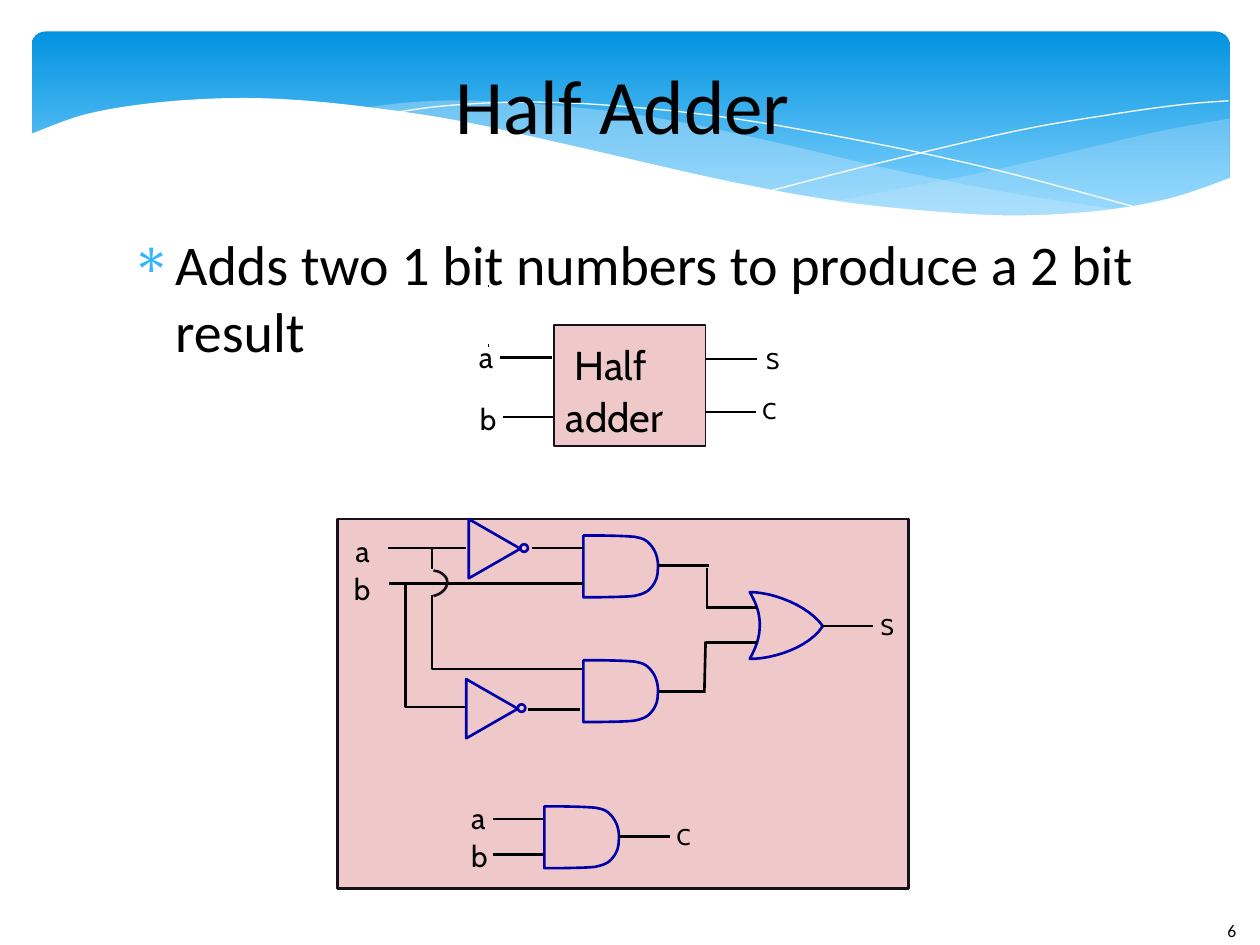
from dataclasses import dataclass

from lxml import etree
from pptx import Presentation
from pptx import util as u
from pptx.dml.color import RGBColor
from pptx.enum import shapes, text
from pptx.oxml.ns import qn


@dataclass(frozen=True)
class Theme:
    black: str = "000000"
    white: str = "FFFFFF"
    sky_top: str = "0293E0"
    sky_bottom: str = "83D3FE"
    wave: str = "C6E7FC"
    bullet: str = "31B6FD"
    panel: str = "EFC9C9"
    outline: str = "15111D"
    gate: str = "0000A9"
    body_font: str = "Calibri"
    label_font: str = "Cabin"
    title_size: float = 44
    body_size: float = 32
    block_size: float = 23
    input_size: float = 17
    output_size: float = 13
    number_size: float = 10
    stroke: float = 1.5


def bezier(start, *curves, steps=12):
    """Points along joined cubic curves, each given as three points."""
    points = [start]
    for c1, c2, end in curves:
        p0 = points[-1]
        for t in (i / steps for i in range(1, steps + 1)):
            s = 1 - t
            points.append(tuple(s**3 * a + 3 * s * s * t * b + 3 * s * t * t * c + t**3 * d
                                for a, b, c, d in zip(p0, c1, c2, end)))
    return points


def smooth(*knots):
    """Points along a smooth curve through all the knots."""
    padded = [knots[0], *knots, knots[-1]]
    curves = []
    for before, a, b, after in zip(padded, padded[1:], padded[2:], padded[3:]):
        c1 = tuple(p + (q - o) / 6 for o, p, q in zip(before, a, b))
        c2 = tuple(q - (r - p) / 6 for p, q, r in zip(a, b, after))
        curves.append((c1, c2, b))
    return bezier(knots[0], *curves, steps=6)


class Painter:
    def __init__(self, page, theme):
        self.page, self.theme = page, theme

    def paint(self, shape, fill=None, line=None, width=None, alpha=None):
        shape.shadow.inherit = False
        if fill:
            shape.fill.solid()
            shape.fill.fore_color.rgb = RGBColor.from_string(fill)
            if alpha:
                color = shape._element.spPr.find(".//" + qn("a:srgbClr"))
                etree.SubElement(color, qn("a:alpha"), val=str(alpha * 1000))
        else:
            shape.fill.background()
        if line:
            shape.line.color.rgb = RGBColor.from_string(line)
            shape.line.width = u.Pt(self.theme.stroke if width is None else width)
        else:
            shape.line.fill.background()
        return shape

    def preset(self, kind, x, y, w, h, **style):
        shape = self.page.shapes.add_shape(kind, *map(u.Inches, (x, y, w, h)))
        return self.paint(shape, **style)

    def outline(self, points, closed=True, **style):
        first, *rest = [tuple(map(u.Inches, point)) for point in points]
        builder = self.page.shapes.build_freeform(*first, scale=1.0)
        builder.add_line_segments(rest, close=closed)
        return self.paint(builder.convert_to_shape(), **style)

    def wire(self, x1, y1, x2, y2, width=None):
        line = self.page.shapes.add_connector(
            shapes.MSO_CONNECTOR.STRAIGHT, *map(u.Inches, (x1, y1, x2, y2)))
        line.line.color.rgb = RGBColor.from_string(self.theme.black)
        line.line.width = u.Pt(width or self.theme.stroke)
        etree.SubElement(line._element.spPr, qn("a:effectLst"))

    def words(self, content, x, y, w, h, size, font, wrap=True):
        box = self.page.shapes.add_textbox(*map(u.Inches, (x, y, w, h)))
        frame = box.text_frame
        frame.margin_left = frame.margin_right = frame.margin_top = frame.margin_bottom = 0
        frame.word_wrap = wrap
        frame.auto_size = text.MSO_AUTO_SIZE.NONE if wrap else text.MSO_AUTO_SIZE.SHAPE_TO_FIT_TEXT
        frame.text = content
        span = frame.paragraphs[0].runs[0]
        span.font.size, span.font.name = u.Pt(size), font
        span.font.color.rgb = RGBColor.from_string(self.theme.black)
        return frame

    def label(self, content, x, y, size, w=0.24):
        self.words(content, x, y, w, round(size / 53, 2), size, self.theme.label_font, wrap=False)

    def bullet(self, para, char, left, hanging):
        props = para._p.get_or_add_pPr()
        props.set("marL", str(u.Inches(left)))
        props.set("indent", str(-u.Inches(hanging)))
        color = etree.SubElement(props, qn("a:buClr"))
        etree.SubElement(color, qn("a:srgbClr"), val=self.theme.bullet)
        etree.SubElement(props, qn("a:buFont"), typeface="Symbol")
        etree.SubElement(props, qn("a:buChar"), char=char)

    def and_gate(self, x, y):
        curves = (((0.13, 0), (0.27, 0), (0.4, 0.01)), ((0.46, 0.02), (0.49, 0.03), (0.52, 0.06)),
                  ((0.58, 0.12), (0.6, 0.2), (0.59, 0.28)), ((0.59, 0.34), (0.56, 0.4), (0.51, 0.44)),
                  ((0.48, 0.46), (0.45, 0.47), (0.4, 0.48)), ((0.3, 0.49), (0.1, 0.49), (0, 0.49)))
        self.outline([(x + dx, y + dy) for dx, dy in bezier((0, 0), *curves)], line=self.theme.gate)

    def inverter(self, x, y):
        self.outline([(x + 0.41, y + 0.235), (x, y + 0.47), (x, y)], line=self.theme.gate)
        self.preset(shapes.MSO_SHAPE.OVAL, x + 0.41, y + 0.2, 0.06, 0.06, line=self.theme.gate)


def main():
    deck = Presentation()
    deck.slide_width, deck.slide_height = u.Inches(10), u.Inches(7.5)
    theme = Theme()
    art = Painter(deck.slides.add_slide(deck.slide_layouts[6]), theme)

    # Banner with waves
    banner = art.preset(shapes.MSO_SHAPE.ROUNDED_RECTANGLE, 0.25, 0.25, 9.51, 1.56)
    banner.adjustments[0] = 0.071
    banner.fill.gradient()
    banner.fill.gradient_angle = 270
    for stop, color, place in zip(banner.fill.gradient_stops,
                                  (theme.sky_top, theme.sky_bottom), (0, 0.9)):
        stop.color.rgb, stop.position = RGBColor.from_string(color), place
    right_wave = (smooth((9.76, 0.94), (9.21, 1.04), (8.61, 1.18), (7.79, 1.37), (6.61, 1.6))
                  + smooth((6.61, 1.6), (7.32, 1.68), (8.03, 1.72), (8.72, 1.69), (9.28, 1.58), (9.76, 1.41)))
    art.outline(right_wave, fill=theme.wave, alpha=29)
    middle_wave = (smooth((8.93, 1.67), (8.07, 1.54), (7.06, 1.34), (6.29, 1.16), (5.41, 0.97),
                          (4.65, 0.86), (3.8, 0.8), (3.28, 0.81), (2.86, 0.86))
                   + smooth((2.86, 0.86), (3.62, 0.97), (4.49, 1.16), (5.66, 1.43), (6.5, 1.58),
                            (7.36, 1.69), (8.18, 1.73), (8.93, 1.67)))
    art.outline(middle_wave, fill=theme.wave, alpha=40)
    for crest in (
        smooth((3.09, 0.9), (3.53, 0.84), (4.16, 0.81), (4.89, 0.84), (5.82, 0.94),
               (6.95, 1.14), (7.95, 1.36), (9.07, 1.66)),
        smooth((6.13, 1.51), (6.95, 1.3), (8.06, 1.04), (8.81, 0.91), (9.38, 0.83), (9.75, 0.8)),
    ):
        art.outline(crest, closed=False, line=theme.white, width=0)
    white_wave = smooth((9.77, 1.41), (9.3, 1.57), (8.75, 1.67), (8.09, 1.71), (7.44, 1.68),
                        (6.68, 1.6), (5.79, 1.44), (4.47, 1.14), (3.65, 0.96), (2.92, 0.85),
                        (2.3, 0.79), (1.77, 0.78), (1.19, 0.82), (0.67, 0.91), (0.23, 1.07))
    art.outline(white_wave + [(0.23, 2.24), (9.77, 2.24)], fill=theme.white)

    # Page number, title and statement
    art.words("6", 9.74, 7.3, 0.41, 0.3, theme.number_size, theme.body_font)
    title = art.words("Half Adder", 0.89, 0.31, 8.11, 1.02, theme.title_size, theme.body_font)
    title.vertical_anchor = text.MSO_ANCHOR.MIDDLE
    title.paragraphs[0].alignment = text.PP_ALIGN.CENTER
    body = art.words("Adds two 1 bit numbers to produce a 2 bit result",
                     0.92, 1.82, 8.11, 4.95, theme.body_size, theme.body_font)
    body.paragraphs[0].space_after = u.Pt(14.1)
    art.bullet(body.paragraphs[0], "∗", 0.47, 0.35)

    # Circuit panel and gates
    art.preset(shapes.MSO_SHAPE.RECTANGLE, 2.68, 4.12, 4.53, 2.93, fill=theme.panel, line=theme.outline)
    for corner in ((4.32, 6.4), (4.63, 4.25), (4.63, 5.24)):
        art.and_gate(*corner)
    for corner in ((3.72, 4.12), (3.7, 5.39)):
        art.inverter(*corner)
    or_gate = bezier((5.95, 4.7), ((6.01, 4.8), (6.03, 4.88), (6.03, 4.96)),
                     ((6.03, 5.06), (6, 5.14), (5.95, 5.23)),
                     ((6.14, 5.23), (6.42, 5.14), (6.53, 4.97)),
                     ((6.42, 4.81), (6.14, 4.7), (5.95, 4.7)))
    art.outline(or_gate, line=theme.gate)

    # Straight wires of the circuit, then of the block symbol
    for ends in (
        (3.91, 6.5, 4.31, 6.5), (3.91, 6.78, 4.31, 6.78), (4.91, 6.64, 5.32, 6.64),
        (3.08, 4.35, 3.7, 4.35), (4.22, 4.35, 4.63, 4.35), (3.09, 4.63, 4.63, 4.63),
        (5.22, 4.49, 5.63, 4.49), (4.19, 5.63, 4.6, 5.63), (5.23, 5.49, 5.59, 5.49, 1.75),
        (5.6, 4.82, 6.01, 4.82), (5.6, 5.1, 6.01, 5.1), (6.52, 4.97, 6.93, 4.97),
        (3.43, 4.34, 3.43, 4.52), (5.61, 4.51, 5.61, 4.82), (5.6, 5.09, 5.59, 5.5),
        (3.97, 2.84, 4.38, 2.84), (3.99, 3.31, 4.39, 3.31),
        (5.6, 2.85, 6.01, 2.85), (5.6, 3.27, 6, 3.27),
        (3.87, 2.27, 3.88, 2.27), (3.87, 2.74, 3.88, 2.74),
    ):
        art.wire(*ends)

    # Bent wires and the hop over input b
    for bend in ([(3.22, 4.63), (3.22, 5.61), (3.69, 5.61)],
                 [(3.43, 4.72), (3.43, 5.31), (4.62, 5.31)]):
        art.outline(bend, closed=False, line=theme.black)
    hop = bezier((3.44, 4.73), ((3.49, 4.72), (3.55, 4.68), (3.55, 4.62)),
                 ((3.55, 4.57), (3.49, 4.53), (3.44, 4.53)))
    art.outline(hop, closed=False, line=theme.outline)

    # Block symbol
    art.preset(shapes.MSO_SHAPE.RECTANGLE, 4.4, 2.58, 1.2, 0.96,
               fill=theme.panel, line=theme.outline, width=1.13)
    art.label(" Half", 4.49, 2.7, theme.block_size, w=0.8)
    art.label("adder", 4.49, 3.11, theme.block_size, w=0.95)

    # Signal names
    for name, x, y in (("a", 2.82, 4.23), ("b", 2.81, 4.53), ("a", 3.74, 6.35),
                       ("b", 3.74, 6.65), ("a", 3.8, 2.69), ("b", 3.81, 3.18)):
        art.label(name, x, y, theme.input_size)
    for name, x, y in (("C", 5.37, 6.53), ("S", 6.99, 4.86), ("S", 6.08, 2.75), ("C", 6.05, 3.15)):
        art.label(name, x, y, theme.output_size)

    deck.save("out.pptx")


if __name__ == "__main__":
    main()
